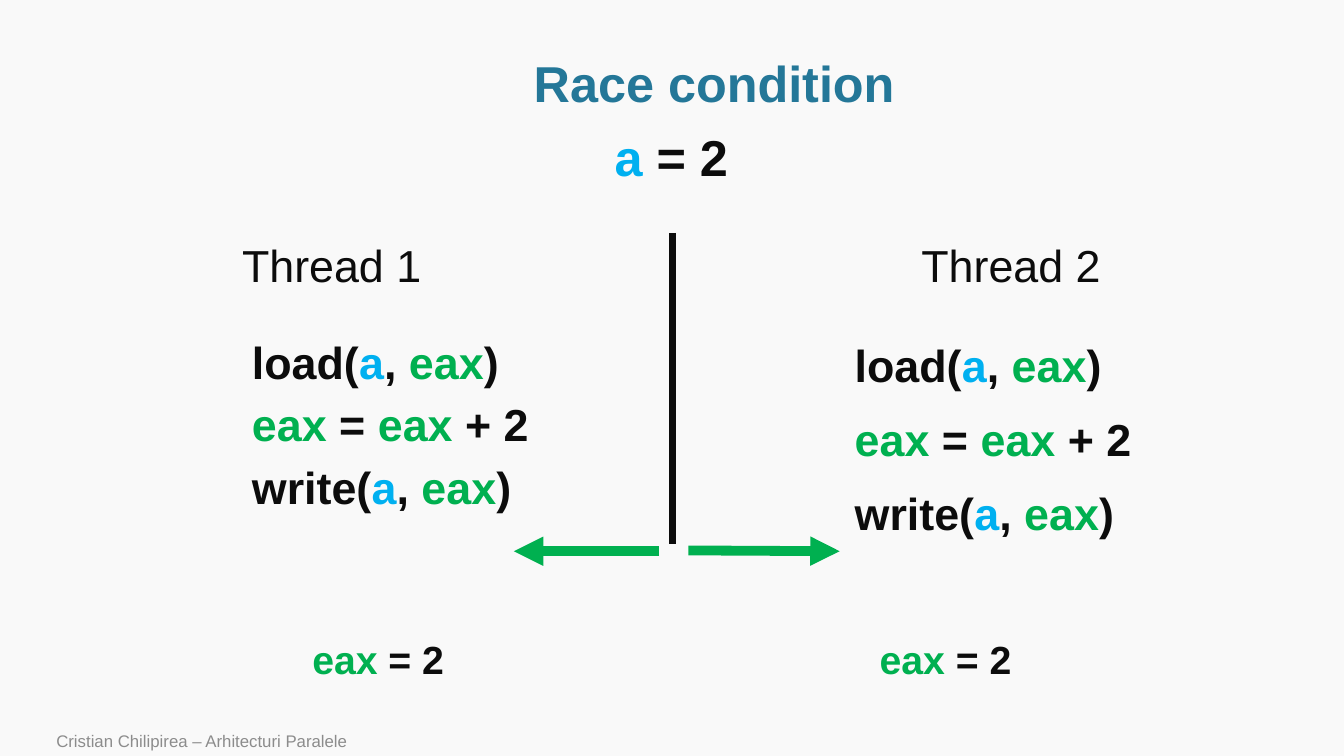
"""Build the "Race condition" slide: two threads working on a shared variable."""
from lxml import etree
from pptx import Presentation
from pptx.dml.color import RGBColor
from pptx.enum.shapes import MSO_CONNECTOR
from pptx.enum.text import MSO_ANCHOR, MSO_AUTO_SIZE, PP_ALIGN
from pptx.oxml.ns import qn
from pptx.util import Cm, Pt

STRAIGHT = MSO_CONNECTOR.STRAIGHT
TOP, MIDDLE, BOTTOM = MSO_ANCHOR.TOP, MSO_ANCHOR.MIDDLE, MSO_ANCHOR.BOTTOM
LEFT, CENTER = PP_ALIGN.LEFT, PP_ALIGN.CENTER
GROW, FIXED = MSO_AUTO_SIZE.SHAPE_TO_FIT_TEXT, MSO_AUTO_SIZE.NONE

BACKGROUND = RGBColor(0xF9, 0xF9, 0xF9)
TEAL = RGBColor(0x24, 0x77, 0x98)
INK = RGBColor(0x0C, 0x0C, 0x0C)
BLUE = RGBColor(0x00, 0xB0, 0xF0)
GREEN = RGBColor(0x00, 0xB0, 0x50)
GRAY = RGBColor(0x8C, 0x8C, 0x8C)

FONT = "Arial"
TOKEN_COLORS = {"a": BLUE, "eax": GREEN}

TITLE = [["Race condition"]]
SHARED_VALUE = [["a", " = 2"]]
PROGRAM = [
    ["load(", "a", ", ", "eax", ")"],
    ["eax", " = ", "eax", " + 2"],
    ["write(", "a", ", ", "eax", ")"],
]
REGISTER = [["eax", " = 2"]]
FOOTER = [["Cristian Chilipirea – Arhitecturi Paralele"]]

THREADS = [
    {"name": "Thread 1", "name_left": 6.1, "code_at": (6.1, 8.46), "inset": 0.25,
     "leading": 0.9, "gap": 10, "register_left": 7.62,
     "arrow": (16.61, 13.89, 12.95, 13.89)},
    {"name": "Thread 2", "name_left": 23.22, "code_at": (21.54, 8.38), "inset": 0,
     "leading": 1.0, "gap": 14.5, "register_left": 21.92,
     "arrow": (17.35, 13.87, 21.16, 13.89)},
]
DIVIDER = (16.94, 5.87, 16.94, 13.72)


def add_text(slide, lines, box, size, color=INK, bold=True, align=LEFT, anchor=TOP,
             inset=0.25, leading=1.0, gap=0, wrap=True, fit=FIXED):
    frame = slide.shapes.add_textbox(*map(Cm, box)).text_frame
    frame.word_wrap = wrap
    frame.auto_size = fit
    frame.vertical_anchor = anchor
    frame.margin_left = frame.margin_right = Cm(inset)
    for index, tokens in enumerate(lines):
        paragraph = frame.add_paragraph() if index else frame.paragraphs[0]
        paragraph.alignment = align
        paragraph.line_spacing = leading
        paragraph.space_before = Pt(gap if index else 0)
        paragraph.font.name = FONT
        paragraph.font.size = Pt(size)
        paragraph.font.bold = bold
        for token in tokens:
            run = paragraph.add_run()
            run.text = token
            run.font.color.rgb = TOKEN_COLORS.get(token, color)


def add_line(slide, ends, color, width, arrow=False):
    connector = slide.shapes.add_connector(STRAIGHT, *map(Cm, ends))
    connector.line.color.rgb = color
    connector.line.width = Pt(width)
    if arrow:
        etree.SubElement(connector.line._get_or_add_ln(), qn("a:tailEnd"), type="triangle")
    etree.SubElement(connector._element.spPr, qn("a:effectLst"))


def main():
    deck = Presentation()
    deck.slide_width, deck.slide_height = Cm(33.87), Cm(19.05)
    slide = deck.slides.add_slide(deck.slide_layouts[6])
    slide.background.fill.solid()
    slide.background.fill.fore_color.rgb = BACKGROUND

    add_text(slide, TITLE, (2.9, 1.3, 30.2, 1.75), 36, TEAL,
             align=CENTER, anchor=MIDDLE, leading=0.9)
    add_text(slide, SHARED_VALUE, (15.24, 3.05, 3.4, 1.8), 36, wrap=False, fit=GROW)
    add_line(slide, DIVIDER, INK, 5)
    for thread in THREADS:
        add_text(slide, [[thread["name"]]], (thread["name_left"], 5.87, 6.58, 1.68), 32,
                 bold=False, inset=0)
        add_text(slide, PROGRAM, (*thread["code_at"], 8.08, 6.25), 32,
                 inset=thread["inset"], leading=thread["leading"], gap=thread["gap"])
        add_line(slide, thread["arrow"], GREEN, 7, arrow=True)
        add_text(slide, REGISTER, (thread["register_left"], 15.88, 5.33, 1.45), 28, fit=GROW)
    add_text(slide, FOOTER, (1.17, 18.34, 24.94, 0.71), 12, GRAY, bold=False, anchor=BOTTOM)
    deck.save("out.pptx")


if __name__ == "__main__":
    main()
